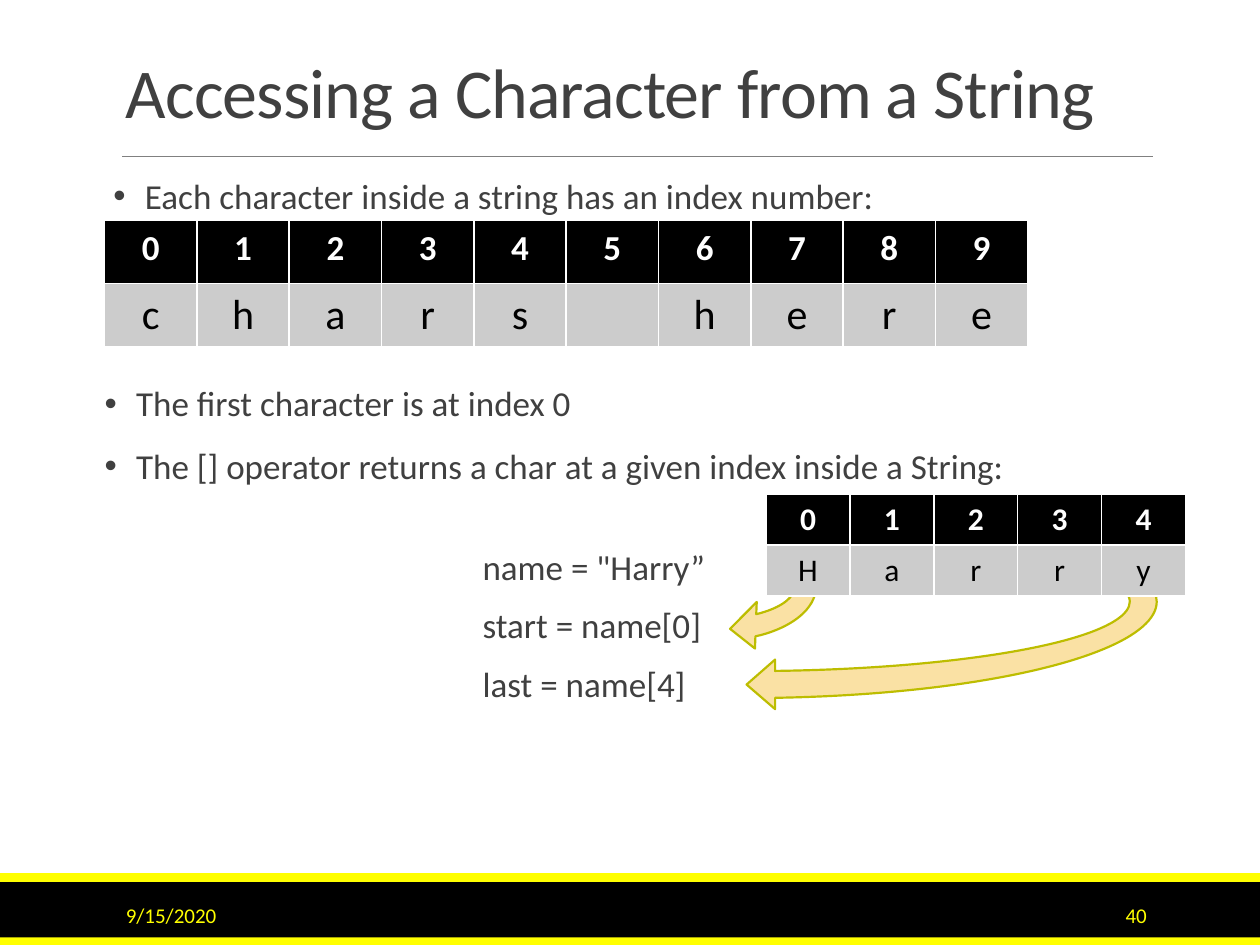
from lxml import etree
from pptx import Presentation
from pptx import util as u
from pptx.dml.color import RGBColor
from pptx.enum import shapes, text
from pptx.oxml import ns

BLACK = RGBColor(0x00, 0x00, 0x00)
WHITE = RGBColor(0xFF, 0xFF, 0xFF)
YELLOW = RGBColor(0xFF, 0xFF, 0x00)
INK = RGBColor(0x40, 0x40, 0x40)
RULE = RGBColor(0x80, 0x80, 0x80)
CELL = RGBColor(0xCC, 0xCC, 0xCC)
SAND = RGBColor(0xFA, 0xE1, 0xA4)
OLIVE = RGBColor(0xBD, 0xBD, 0x00)

BULLET = {"line_spacing": 0.9, "space_before": u.Pt(12), "space_after": u.Pt(2)}
CODE = {"line_spacing": 0.9, "space_before": u.Pt(12)}
FIRST_CODE = {**CODE, "space_before": u.Pt(34)}


def inches(box):
    return [u.Inches(length) for length in box]


def set_attributes(target, values):
    for name, value in values.items():
        setattr(target, name, value)


def write(paragraph, words, size, color, bold=False):
    run = paragraph.add_run()
    run.text = words
    set_attributes(run.font, {"name": "Calibri", "size": u.Pt(size), "bold": bold})
    run.font.color.rgb = color
    return run


def add_frame(slide, box, **values):
    frame = slide.shapes.add_textbox(*inches(box)).text_frame
    set_attributes(frame, {"word_wrap": True, **values})
    return frame


def add_filled(slide, kind, box, fill):
    shape = slide.shapes.add_shape(kind, *inches(box))
    shape.shadow.inherit = False
    shape.fill.solid()
    shape.fill.fore_color.rgb = fill
    shape.line.fill.background()
    return shape


def add_heading(slide, box, words):
    left, top, width, height = box
    frame = add_frame(slide, box, vertical_anchor=text.MSO_ANCHOR.BOTTOM)
    frame.paragraphs[0].line_spacing = 0.85
    title = write(frame.paragraphs[0], words, 40, INK)
    title.font._element.set("spc", "-50")
    rule_y = top + height + 0.14
    rule = slide.shapes.add_connector(
        shapes.MSO_CONNECTOR.STRAIGHT,
        *inches((left + 0.07, rule_y, left + width, rule_y)))
    rule.line.color.rgb = RULE
    rule.line.width = u.Pt(0.5)
    etree.SubElement(rule._element.spPr, ns.qn("a:effectLst"))


def add_body(slide, box, bullets, code=()):
    frame = add_frame(slide, box, margin_left=0, margin_right=0)
    lines = [(words, BULLET, 0.25) for words in bullets]
    lines += [(words, CODE if i else FIRST_CODE, 3) for i, words in enumerate(code)]
    for i, (words, spacing, indent) in enumerate(lines):
        paragraph = frame.add_paragraph() if i else frame.paragraphs[0]
        set_attributes(paragraph, spacing)
        properties = paragraph._p.get_or_add_pPr()
        properties.set("marL", str(u.Inches(indent)))
        if spacing is BULLET:
            properties.set("indent", str(u.Inches(-indent)))
            etree.SubElement(properties, ns.qn("a:buFont"), typeface="Arial")
            etree.SubElement(properties, ns.qn("a:buChar"), char="•")
        write(paragraph, words, 20, INK)


def add_index_table(slide, box, string, index_size, letter_size):
    table = slide.shapes.add_table(2, len(string), *inches(box)).table
    table.horz_banding = False
    rows = (
        (map(str, range(len(string))), index_size, WHITE, True, BLACK),
        (string, letter_size, BLACK, False, CELL),
    )
    for row, (entries, size, color, bold, fill) in zip(table.rows, rows):
        for cell, entry in zip(row.cells, entries):
            cell.fill.solid()
            cell.fill.fore_color.rgb = fill
            paragraph = cell.text_frame.paragraphs[0]
            paragraph.alignment = text.PP_ALIGN.CENTER
            if entry.strip():
                write(paragraph, entry, size, color, bold)


def add_curved_arrow(slide, box, rotation, adjustments):
    arrow = add_filled(slide, shapes.MSO_SHAPE.CIRCULAR_ARROW, box, SAND)
    arrow.rotation = rotation
    arrow.line.color.rgb = OLIVE
    arrow.line.width = u.Pt(1.25)
    for i, value in enumerate(adjustments):
        arrow.adjustments[i] = value


def add_footer_band(slide, box):
    left, top, width, height = box
    stripe = 0.07
    add_filled(slide, shapes.MSO_SHAPE.RECTANGLE, box, BLACK)
    for stripe_top in (top - stripe, top + height - stripe + 0.01):
        add_filled(slide, shapes.MSO_SHAPE.RECTANGLE,
                   (left, stripe_top, width, stripe), YELLOW)
    labels = (
        ("9/15/2020", 0.9, 2.03, text.PP_ALIGN.LEFT),
        ("40", 8.12, 1.08, text.PP_ALIGN.RIGHT),
    )
    for words, offset, label_width, alignment in labels:
        frame = add_frame(slide, (left + offset, top + 0.06, label_width, 0.4),
                          vertical_anchor=text.MSO_ANCHOR.MIDDLE)
        frame.paragraphs[0].alignment = alignment
        write(frame.paragraphs[0], words, 12, YELLOW)


def main():
    deck = Presentation()
    deck.slide_width, deck.slide_height = inches((10, 7.5))
    slide = deck.slides.add_slide(deck.slide_layouts[6])
    add_footer_band(slide, (0, 7, 10, 0.5))
    add_heading(slide, (0.9, 0.31, 8.25, 0.79), "Accessing a Character from a String")
    add_body(slide, (0.9, 1.37, 8.25, 1.38),
             ["Each character inside a string has an index number:"])
    add_index_table(slide, (0.83, 1.75, 7.33, 1), "chars here", 20, 24)
    add_curved_arrow(slide, (5.33, 3.93, 0.95, 1.54), 85.5,
                     (0.181, 23.187, 196.863, 165.91, 0.195))
    add_curved_arrow(slide, (5.07, 1.43, 1.71, 6.69), 90,
                     (0.125, 11.423, 204.577, 160.08, 0.115))
    add_index_table(slide, (6.08, 3.92, 3.33, 0.81), "Harry", 18, 18)
    add_body(slide, (0.83, 3.02, 8.25, 3.23),
             ["The first character is at index 0",
              "The [] operator returns a char at a given index inside a String:"],
             ['name = "Harry”', "start = name[0]", "last = name[4]"])
    deck.save("out.pptx")


if __name__ == "__main__":
    main()
